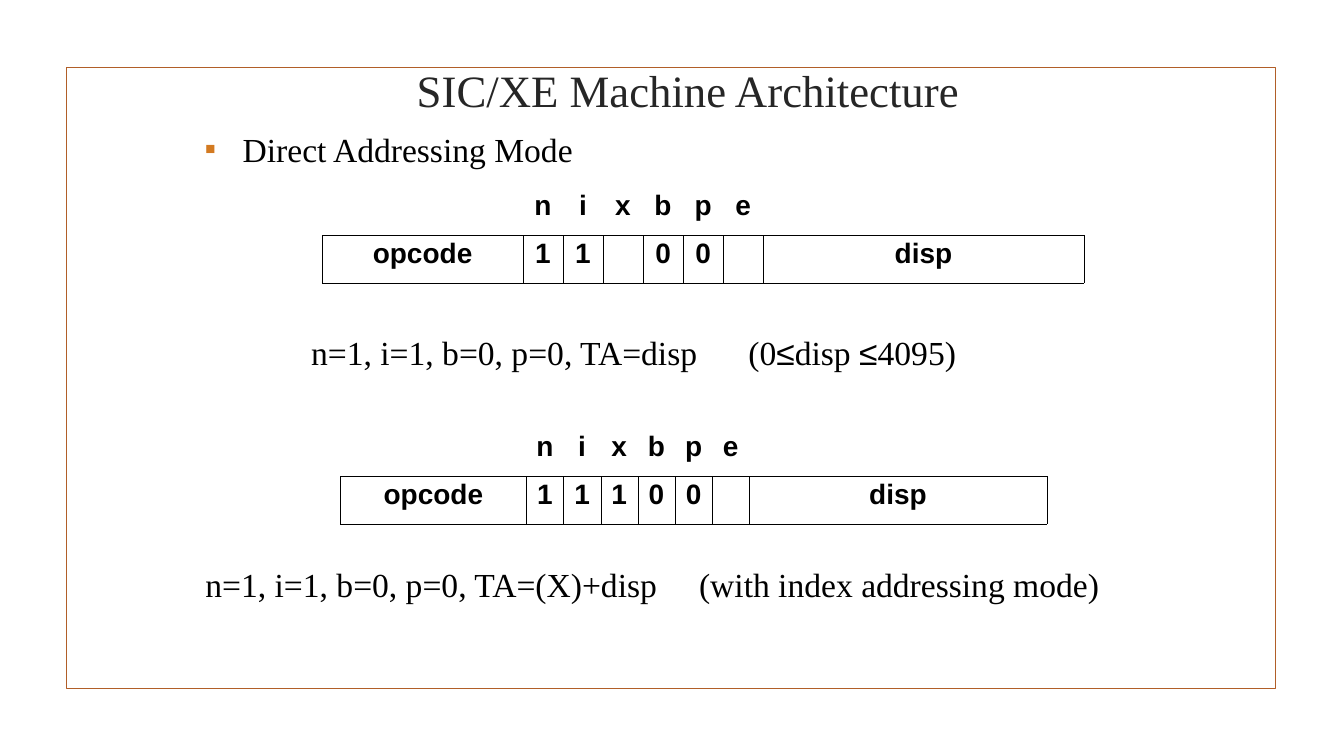
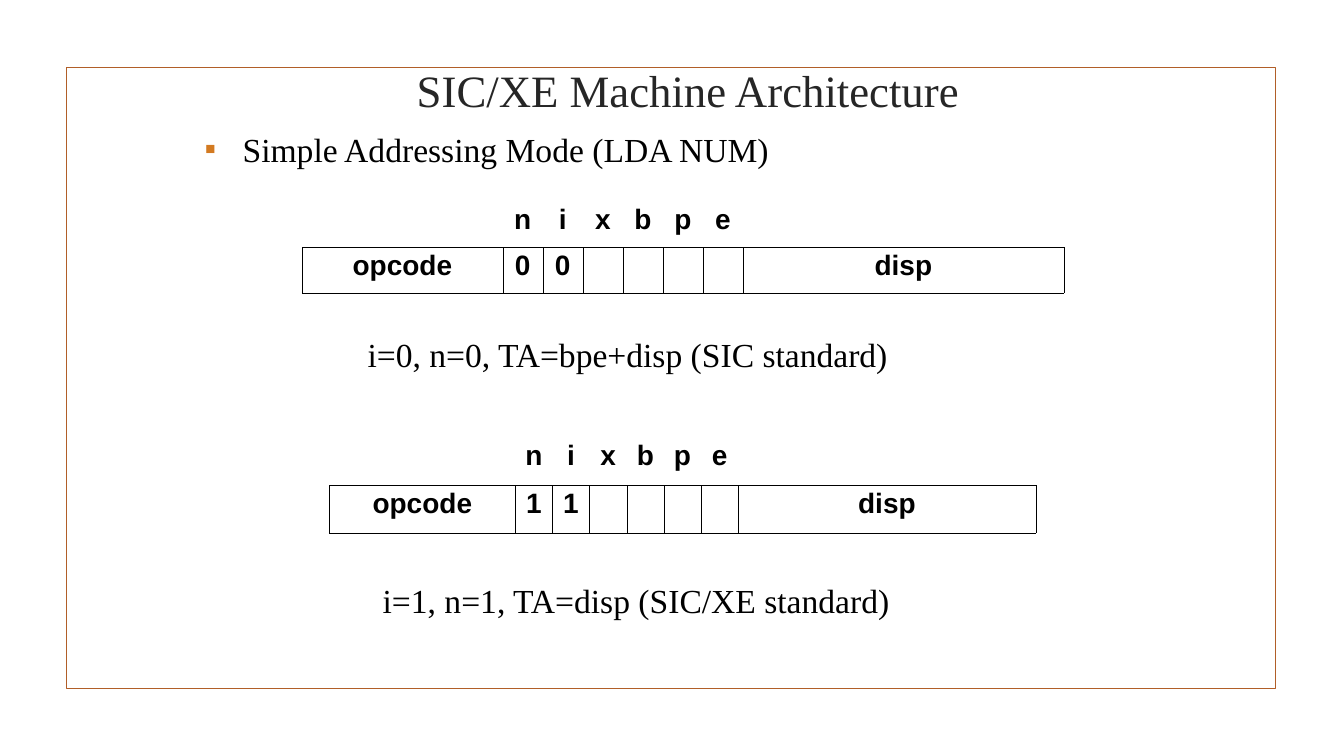
from lxml.etree import SubElement
from pptx import Presentation
from pptx.dml.color import RGBColor
from pptx.enum.shapes import MSO_SHAPE
from pptx.enum.text import MSO_ANCHOR, PP_ALIGN
from pptx.oxml.ns import qn
from pptx.util import Inches, Pt

TITLE = "SIC/XE Machine Architecture"
SERIF, SANS = "Times New Roman", "Arial"
BLACK, TITLE_GREY, FRAME, BULLET = "000000", "262626", "B15E28", "D37A21"
FLAGS = "nixbpe"
COLUMN_UNITS = [5] + [1] * len(FLAGS) + [8]

SLIDES = [
    {
        "heading": "Direct Addressing Mode",
        "formats": [
            {"at": (3.2, 1.86), "width": 7.56, "height": 0.95, "bits": ["1", "1", "", "0", "0", ""]},
            {"at": (3.38, 4.25), "width": 7.01, "height": 0.95, "bits": ["1", "1", "1", "0", "0", ""]},
        ],
        "formulas": [
            {"at": (2.99, 3.24), "width": 7.8, "tab": 4.34,
             "runs": [("n=1, i=1, b=0, p=0, TA=disp\t(0", SERIF), ("≤", SANS), ("disp ", SERIF),
                      ("≤", SANS), ("4095)", SERIF)]},
            {"at": (1.94, 5.55), "width": 10.28, "tab": 4.9,
             "runs": [("n=1, i=1, b=0, p=0, TA=(X)+disp\t(with index addressing mode)", SERIF)]},
        ],
    },
    {
        "heading": "Simple Addressing Mode (LDA NUM)",
        "formats": [
            {"at": (3, 2), "width": 7.56, "height": 0.91, "bits": ["0", "0", "", "", "", ""]},
            {"at": (3.27, 4.34), "width": 7.01, "height": 0.95, "bits": ["1", "1", "", "", "", ""]},
        ],
        "formulas": [
            {"at": (3.55, 3.26), "width": 6.46, "runs": [("i=0, n=0, TA=bpe+disp (SIC standard)", SERIF)]},
            {"at": (3.7, 5.7), "width": 6.38, "runs": [("i=1, n=1, TA=disp (SIC/XE standard)", SERIF)]},
        ],
    },
]


def color(value):
    return RGBColor.from_string(value)


def add_span(para, text, font, size, fill=BLACK, bold=False):
    span = para.add_run()
    span.text = text
    span.font.name, span.font.size, span.font.bold = font, Pt(size), bold
    span.font.color.rgb = color(fill)


def add_box(page, at, width, height):
    box = page.shapes.add_textbox(*map(Inches, (*at, width, height)))
    box.text_frame.word_wrap = True
    return box.text_frame


def add_frame(page):
    frame = page.shapes.add_shape(MSO_SHAPE.RECTANGLE, *map(Inches, (0.66, 0.67, 12, 6.16)))
    frame.shadow.inherit = False
    frame.fill.background()
    frame.line.color.rgb = color(FRAME)
    frame.line.width = Pt(1.25)


def add_title(page):
    box = add_box(page, (0.72, 0.36), 12.22, 1.05)
    box.vertical_anchor = MSO_ANCHOR.MIDDLE
    para = box.paragraphs[0]
    para.alignment = PP_ALIGN.CENTER
    add_span(para, TITLE, SERIF, 32, TITLE_GREY)


def add_heading(page, text):
    para = add_box(page, (1.94, 1.23), 8.5, 0.63).paragraphs[0]
    properties = para._p.get_or_add_pPr()
    indent = Inches(0.37)
    properties.set("marL", str(indent))
    properties.set("indent", str(-indent))
    SubElement(SubElement(properties, qn("a:buClr")), qn("a:srgbClr"), val=BULLET)
    SubElement(properties, qn("a:buSzPct"), val="50000")
    SubElement(properties, qn("a:buFont"), typeface=SANS)
    SubElement(properties, qn("a:buChar"), char="■")
    add_span(para, text, SERIF, 24)


def add_formula(page, formula):
    para = add_box(page, formula["at"], formula["width"], 0.63).paragraphs[0]
    if "tab" in formula:
        tabs = SubElement(para._p.get_or_add_pPr(), qn("a:tabLst"))
        SubElement(tabs, qn("a:tab"), pos=str(Inches(formula["tab"])), algn="l")
    for text, font in formula["runs"]:
        add_span(para, text, font, 24)


def set_borders(cell, visible):
    properties = cell._tc.get_or_add_tcPr()
    for side in "LRTB":
        line = SubElement(properties, qn(f"a:ln{side}"), w=str(Pt(0.23)))
        if side in visible:
            SubElement(SubElement(line, qn("a:solidFill")), qn("a:srgbClr"), val=BLACK)
        else:
            SubElement(line, qn("a:noFill"))


def add_format(page, layout):
    rows = [["", *FLAGS, ""], ["opcode", *layout["bits"], "disp"]]
    size = (layout["width"], layout["height"])
    table = page.shapes.add_table(2, len(COLUMN_UNITS), *map(Inches, (*layout["at"], *size))).table
    table.first_row = table.horz_banding = False
    unit = layout["width"] / sum(COLUMN_UNITS)
    for column, units in zip(table.columns, COLUMN_UNITS):
        column.width = Inches(unit * units)
    for row, (texts, borders) in enumerate(zip(rows, ("B", "LRTB"))):
        for column, text in enumerate(texts):
            cell = table.cell(row, column)
            cell.margin_left = cell.margin_right = Inches(0.05)
            set_borders(cell, borders)
            cell.fill.background()
            para = cell.text_frame.paragraphs[0]
            para.alignment = PP_ALIGN.CENTER
            para.line_spacing = 0.93
            if text:
                add_span(para, text, SANS, 20, bold=True)


def main():
    """Build the addressing mode slides."""
    deck = Presentation()
    deck.slide_width, deck.slide_height = Inches(13.34), Inches(7.5)
    for content in SLIDES:
        page = deck.slides.add_slide(deck.slide_layouts[6])
        add_frame(page)
        add_title(page)
        add_heading(page, content["heading"])
        for layout, formula in zip(content["formats"], content["formulas"]):
            add_format(page, layout)
            add_formula(page, formula)
    deck.save("out.pptx")


if __name__ == "__main__":
    main()
